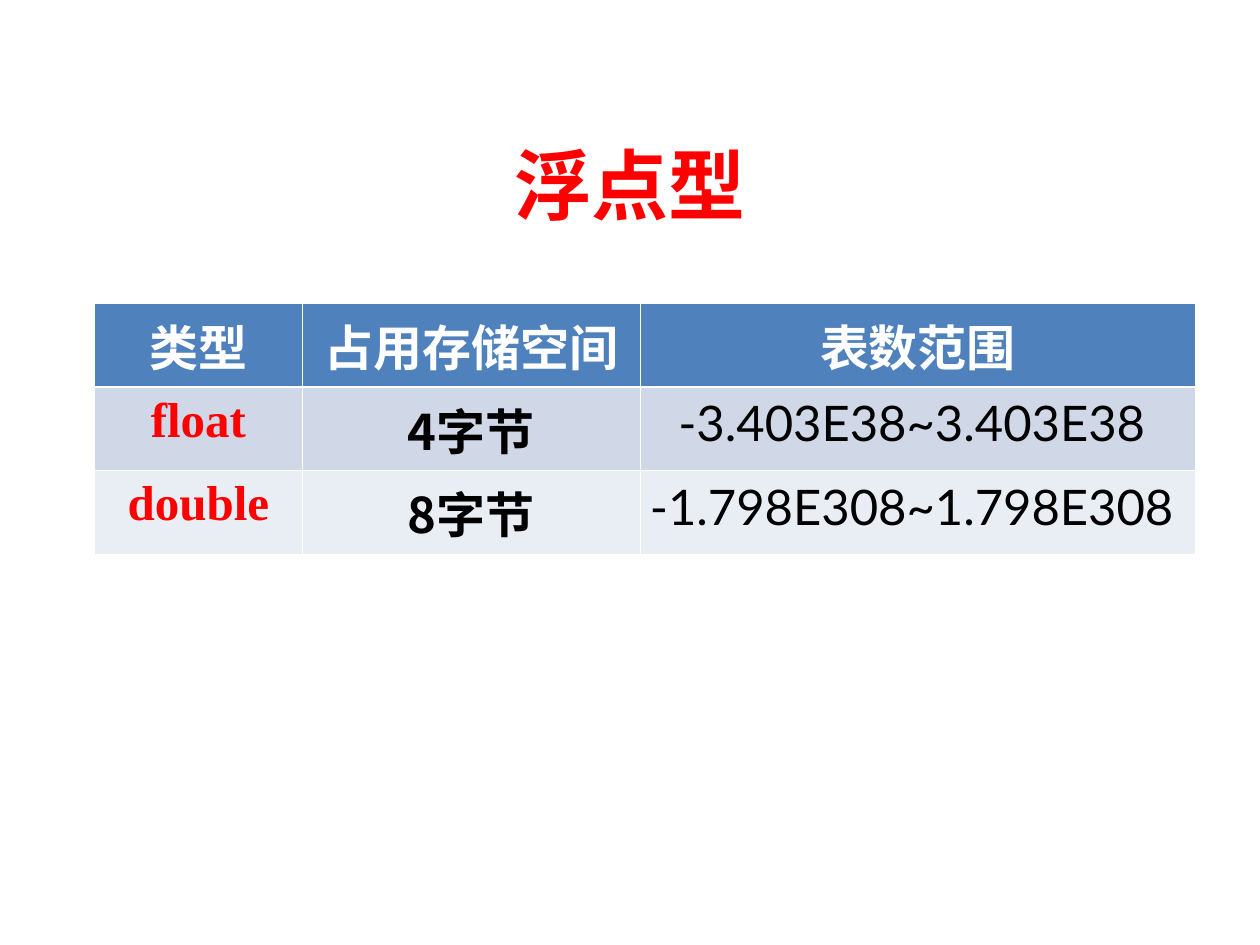
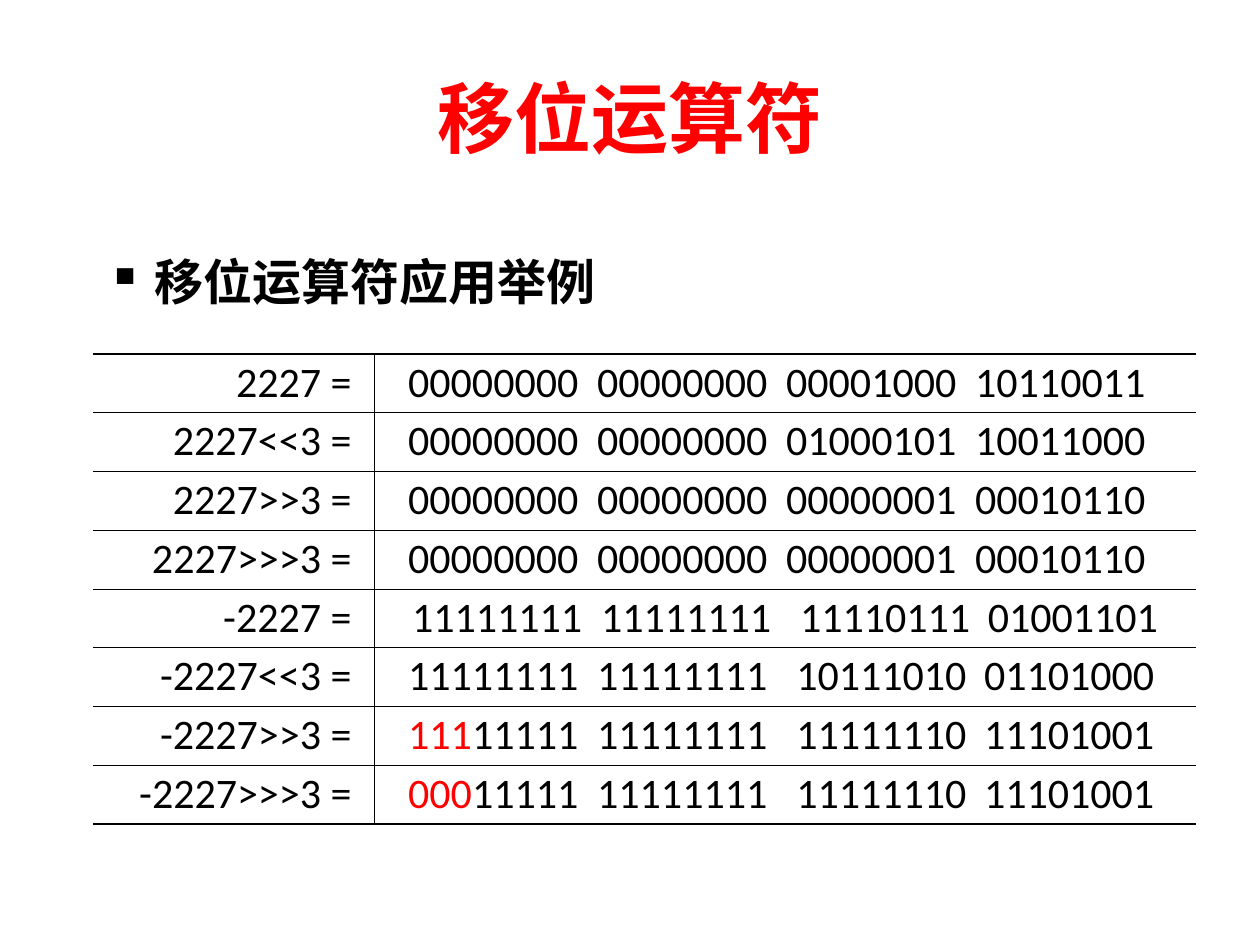
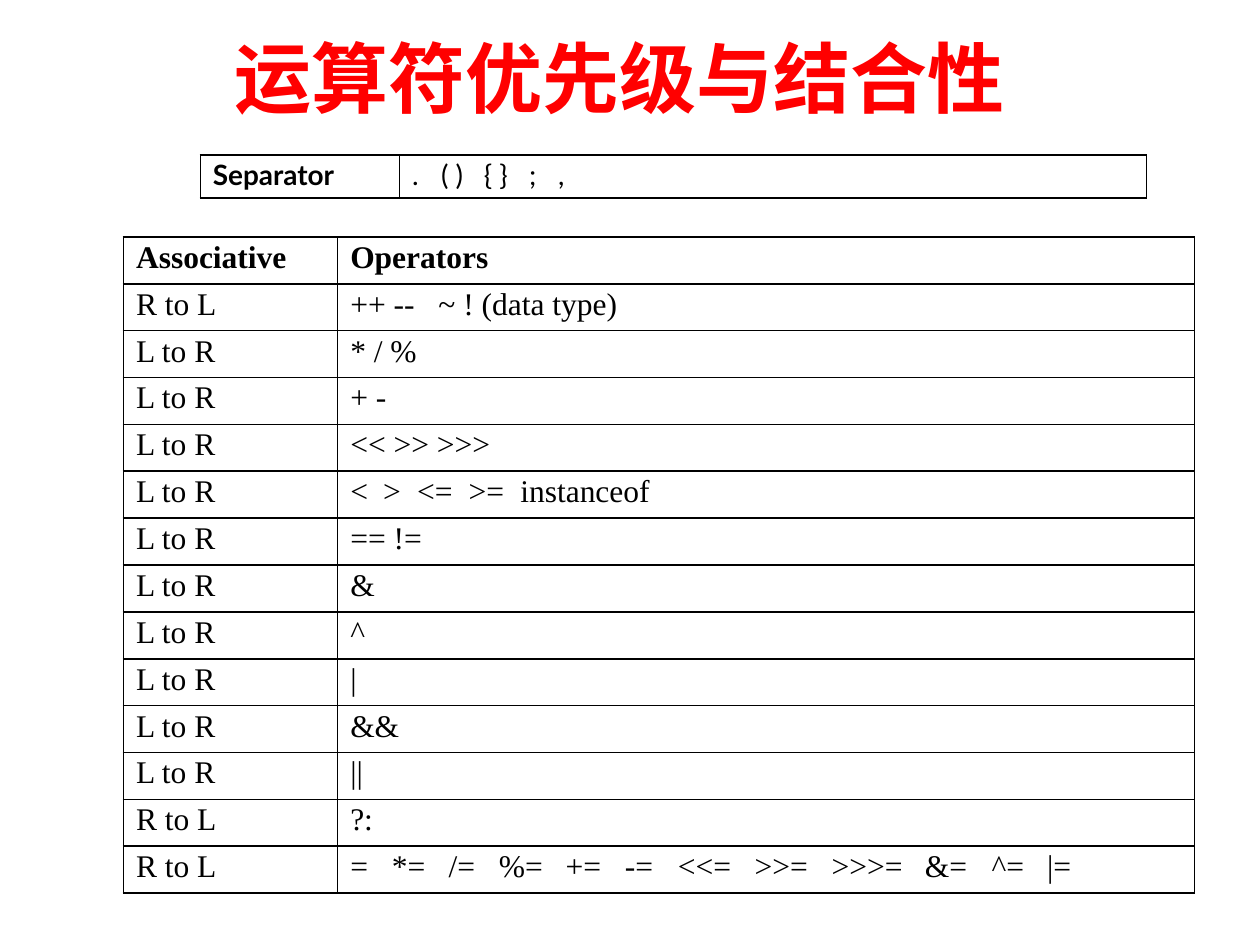
import pptx
import pptx.dml.color
import pptx.enum.text
import pptx.oxml.ns
import pptx.util
from lxml import etree

Inches, Pt = pptx.util.Inches, pptx.util.Pt
ALIGN, ANCHOR = pptx.enum.text.PP_ALIGN, pptx.enum.text.MSO_ANCHOR
RED, BLACK, WHITE = "FF0000", "000000", "FFFFFF"
HAN, SERIF = "Noto Sans CJK SC", "Times New Roman"
THIN, THICK = 0.45, 1.08
TITLE = {"size": 44, "name": "TeX Gyre Pagella", "bold": True, "color": RED}

TYPES = [
    ["类型", "占用存储空间", "表数范围"],
    ["float", "4字节", "-3.403E38~3.403E38"],
    ["double", "8字节", "-1.798E308~1.798E308"],
]
SHIFTS = [
    ("2227 =", "00000000 00000000 00001000 10110011"),
    ("2227<<3 =", "00000000 00000000 01000101 10011000"),
    ("2227>>3 =", "00000000 00000000 00000001 00010110"),
    ("2227>>>3 =", "00000000 00000000 00000001 00010110"),
    ("-2227 =", "11111111 11111111 11110111 01001101"),
    ("-2227<<3 =", "11111111 11111111 10111010 01101000"),
    ("-2227>>3 =", "11111111 11111111 11111110 11101001"),
    ("-2227>>>3 =", "00011111 11111111 11111110 11101001"),
]
MARKS = [(".\t( )\t{ }\t;\t,", [0.23, 0.57, 0.93, 1.16])]
LEVELS = [
    ("R to L", "++ --\t~ ! (data type)", [0.7]),
    ("L to R", "* / %", []),
    ("L to R", "+ -", []),
    ("L to R", "<< >> >>>", []),
    ("L to R", "<\t>\t<=\t>=\tinstanceof", [0.26, 0.53, 0.94, 1.35]),
    ("L to R", "== !=", []),
    ("L to R", "&", []),
    ("L to R", "^", []),
    ("L to R", "|", []),
    ("L to R", "&&", []),
    ("L to R", "||", []),
    ("R to L", "?:", []),
    ("R to L", "=\t*=\t/=\t%=\t+=\t-=\t<<=\t>>=\t>>>=\t&=\t^=\t|=",
     [0.33, 0.78, 1.18, 1.71, 2.18, 2.6, 3.21, 3.82, 4.56, 5.09, 5.53]),
]


def node(parent, tag, **attrs):
    """Append a drawing element and return it."""
    return etree.SubElement(parent, pptx.oxml.ns.qn("a:" + tag), attrs)


def paint(hue):
    """Turn a hex string into a colour."""
    return pptx.dml.color.RGBColor.from_string(hue)


def apply(item, values):
    """Set each named attribute of an item."""
    for key, value in values.items():
        setattr(item, key, value)


def write(para, parts, face):
    """Add coloured text parts to a paragraph in one typeface."""
    for text, hue in parts:
        run = para.add_run()
        run.text = text
        apply(run.font, {"size": Pt(face["size"]), "name": face["name"],
                         "bold": face.get("bold", False)})
        run.font.color.rgb = paint(hue)
        node(run._r.get_or_add_rPr(), "ea", typeface=HAN)


def stops(para, places):
    """Give a paragraph left tab stops."""
    if places:
        tabs = node(para._p.get_or_add_pPr(), "tabLst")
        for place in places:
            node(tabs, "tab", pos=str(Inches(place)), algn="l")


def edge(cell, widths, hue):
    """Draw the left, right, top and bottom borders of a cell."""
    props = cell._tc.get_or_add_tcPr()
    for spot, (side, width) in enumerate(zip("LRTB", widths)):
        line = node(props, "ln" + side, w=str(Pt(width)))
        if width:
            node(node(line, "solidFill"), "srgbClr", val=hue)
        else:
            node(line, "noFill")
        props.insert(spot, line)


def grid(slide, box, cols, count, across, down, hue):
    """Add a bare ruled table and return it."""
    table = slide.shapes.add_table(count, len(cols), *map(Inches, box)).table
    apply(table, {"first_row": False, "horz_banding": False})
    for col, width in zip(table.columns, cols):
        col.width = Inches(width)
    for r, row in enumerate(table.rows):
        row.height = Inches(box[3] / count)
        for c, cell in enumerate(row.cells):
            cell.fill.background()
            edge(cell, down[c:c + 2] + across[r:r + 2], hue)
    return table


def begin(deck, text, box):
    """Add a slide with a placed red title."""
    slide = deck.slides.add_slide(deck.slide_layouts[5])
    title = slide.shapes.title
    apply(title, dict(zip(("left", "top", "width", "height"), map(Inches, box))))
    title.text_frame.vertical_anchor = ANCHOR.MIDDLE
    para = title.text_frame.paragraphs[0]
    para.alignment = ALIGN.CENTER
    write(para, [(text, RED)], TITLE)
    return slide


def ranges(slide, box):
    """Place the table of floating types."""
    table = grid(slide, box, [1.65, 2.68, 4.41], len(TYPES),
                 [THIN, 1.47, THIN, THIN], [THIN] * 4, WHITE)
    names, hues = [SERIF, HAN, "Lato"], [RED, BLACK, BLACK]
    for r, texts in enumerate(TYPES):
        for c, text in enumerate(texts):
            cell = table.cell(r, c)
            cell.fill.solid()
            cell.fill.fore_color.rgb = paint(["4F81BD", "D0D8E8", "E9EDF4"][r])
            if r and c == 2:
                cell.margin_left = 0
            para = cell.text_frame.paragraphs[0]
            para.alignment = ALIGN.CENTER
            face = {"size": 28, "name": names[c] if r else HAN,
                    "bold": r == 0 or c < 2}
            write(para, [(text, hues[c] if r else WHITE)], face)


def bullet(slide, box, text):
    """Place a bold line with a square bullet."""
    frame = slide.shapes.add_textbox(*map(Inches, box)).text_frame
    frame.word_wrap = True
    para = frame.paragraphs[0]
    apply(para, {"alignment": ALIGN.JUSTIFY, "line_spacing": 0.9})
    props = para._p.get_or_add_pPr()
    apply_indent = {"marL": Inches(0.38), "indent": Inches(-0.38)}
    for key, value in apply_indent.items():
        props.set(key, str(value))
    node(node(props, "buClr"), "srgbClr", val=BLACK)
    node(props, "buChar", char="▪")
    write(para, [(text, BLACK)], {"size": 28, "name": HAN, "bold": True})


def shifts(slide, box):
    """Place the table of shift results in bit groups."""
    count = len(SHIFTS)
    table = grid(slide, box, [2.23, 6.52], count,
                 [THICK] + [THIN] * (count - 1) + [THICK], [0, THIN, 0], BLACK)
    face = {"size": 24, "name": "Calibri"}
    for r, (label, bits) in enumerate(SHIFTS):
        left, right = table.rows[r].cells
        minus = label.startswith("-")
        apply(left, {"margin_right": Inches(0.18), "vertical_anchor": ANCHOR.MIDDLE})
        apply(right, {"margin_left": Inches(0.3 if label == "-2227 =" else 0.27),
                      "vertical_anchor": ANCHOR.MIDDLE})
        name, value = (cell.text_frame.paragraphs[0] for cell in (left, right))
        apply(name, {"alignment": ALIGN.RIGHT, "line_spacing": 0.9})
        apply(value, {"alignment": ALIGN.LEFT, "line_spacing": 0.9})
        stops(value, [1.5, 3.08, 4.57] if minus else [1.5, 3, 4.5])
        bits = bits.replace(" ", "\t")
        lead = 3 if ">>" in label and minus else 0
        parts = [(bits[:lead], RED), (bits[lead:], BLACK)]
        write(name, [(label, BLACK)], face)
        write(value, [part for part in parts if part[0]], face)


def ranks(slide, box, cols, rows, face, heads):
    """Place a boxed table of operators, with bold heads where asked."""
    table = grid(slide, box, cols, len(rows), [THICK] * (len(rows) + 1),
                 [THICK, THIN, THICK], BLACK)
    for r, (label, text, places) in enumerate(rows):
        for c, words in enumerate((label, text)):
            para = table.cell(r, c).text_frame.paragraphs[0]
            para.line_spacing = 0.9
            stops(para, places if c else [])
            write(para, [(words, BLACK)], {**face, "bold": (r, c) in heads})


def main():
    """Build the three slides and save them."""
    deck = pptx.Presentation()
    apply(deck, {"slide_width": Inches(10), "slide_height": Inches(7.5)})

    slide = begin(deck, "浮点型", (0.75, 0.83, 8.5, 1.25))
    ranges(slide, (0.75, 2.41, 8.74, 1.98))

    slide = begin(deck, "移位运算符", (0.5, 0.3, 9, 1.25))
    bullet(slide, (0.75, 2, 8.75, 0.58), "移位运算符应用举例")
    shifts(slide, (0.74, 2.81, 8.75, 3.73))

    slide = begin(deck, "运算符优先级与结合性", (0.67, -0.02, 8.5, 1.25))
    marks = [("Separator", *MARKS[0])]
    ranks(slide, (1.59, 1.23, 7.51, 0.34), [1.58, 5.93], marks,
          {"size": 16, "name": "Lato"}, [(0, 0)])
    levels = [("Associative", "Operators", [])] + LEVELS
    ranks(slide, (0.98, 1.88, 8.5, 5.21), [1.7, 6.8], levels,
          {"size": 18, "name": SERIF}, [(0, 0), (0, 1)])
    deck.save("out.pptx")


if __name__ == "__main__":
    main()
